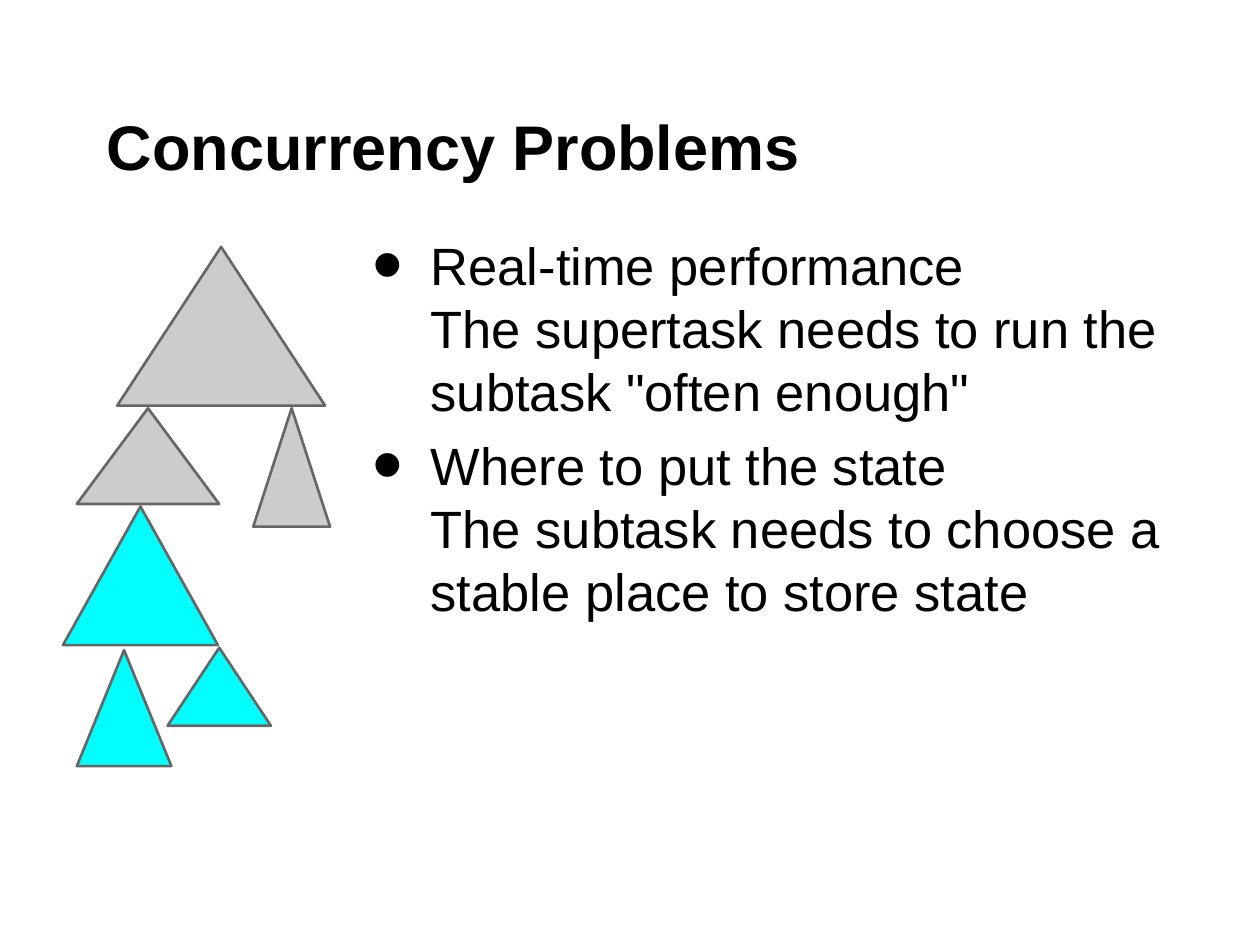
from dataclasses import dataclass

from lxml.etree import SubElement
from pptx import Presentation
from pptx.dml.color import RGBColor
from pptx.enum.shapes import MSO_SHAPE as Preset
from pptx.enum.text import MSO_ANCHOR as Anchor
from pptx.oxml.ns import qn
from pptx.util import Inches, Pt

COLORS = {"text": "000000", "outline": "666666", "supertask": "CCCCCC", "subtask": "00FFFF"}
WIDTH, HEIGHT = 10, 7.5
COLUMNS, ROWS = 100, 75  # grid of tenths of an inch

BULLETS = [
    'Real-time performance\vThe supertask needs to run the subtask "often enough"',
    "Where to put the state\vThe subtask needs to choose a stable place to store state",
]
# role, then column, row, columns wide, rows high
TASKS = [
    ("supertask", 20.1, 32.4, 6.1, 9.4),
    ("supertask", 9.3, 19.6, 16.5, 12.6),
    ("supertask", 6.1, 32.4, 11.3, 7.6),
    ("subtask", 13.3, 51.4, 8.2, 6.2),
    ("subtask", 5, 40.2, 12.3, 11),
    ("subtask", 6.1, 51.6, 7.5, 9.2),
]


def color(name):
    return RGBColor.from_string(COLORS[name])


@dataclass
class SlideBuilder:
    slide: object
    font: str = "Arial"
    inset: float = 0.1

    def place(self, column, row, columns, rows):
        """Turn grid units into left, top, width and height."""
        across, down = WIDTH / COLUMNS, HEIGHT / ROWS
        return [Inches(n) for n in (column * across, row * down, columns * across, rows * down)]

    def text(self, area, lines, size, bold=False, anchor=Anchor.TOP, indent=(0, 0), bullet=False):
        frame = self.slide.shapes.add_textbox(*self.place(*area)).text_frame
        margins = {f"margin_{side}": Inches(self.inset) for side in ("left", "top", "right", "bottom")}
        for name, value in {"word_wrap": True, "vertical_anchor": anchor, **margins}.items():
            setattr(frame, name, value)
        for index, line in enumerate(lines):
            paragraph = frame.add_paragraph() if index else frame.paragraphs[0]
            paragraph.text = line
            paragraph.space_before = Pt(6 if index else 0)
            properties = paragraph._p.get_or_add_pPr()
            for name, value in zip(("marL", "indent"), indent):
                properties.set(name, str(Inches(value)))
            if bullet:
                self.bullet(properties)
            for run in paragraph.runs:
                for name, value in {"name": self.font, "size": Pt(size), "bold": bold}.items():
                    setattr(run.font, name, value)
                run.font.color.rgb = color("text")
            for line_break in paragraph._p.findall(qn("a:br")):
                SubElement(line_break, qn("a:rPr"), sz=str(size * 100))

    def bullet(self, properties):
        tint = SubElement(properties, qn("a:buClr"))
        SubElement(tint, qn("a:srgbClr"), val=COLORS["text"])
        SubElement(properties, qn("a:buSzPct"), val="167000")
        SubElement(properties, qn("a:buFont"), typeface=self.font)
        SubElement(properties, qn("a:buChar"), char="•")

    def triangle(self, role, *area):
        shape = self.slide.shapes.add_shape(Preset.ISOSCELES_TRIANGLE, *self.place(*area))
        shape.shadow.inherit = False
        shape.fill.solid()
        shape.fill.fore_color.rgb = color(role)
        shape.line.color.rgb = color("outline")
        shape.line.width = Pt(1.5)


def main():
    presentation = Presentation()
    presentation.slide_width, presentation.slide_height = Inches(WIDTH), Inches(HEIGHT)
    builder = SlideBuilder(presentation.slides.add_slide(presentation.slide_layouts[6]))
    builder.text((5, 3, 90, 12.5), ["Concurrency Problems"], 36, bold=True,
                 anchor=Anchor.BOTTOM, indent=(0, 0.25))
    builder.text((28.2, 17.5, 66.8, 54.3), BULLETS, 30, indent=(0.5, -0.46), bullet=True)
    for task in TASKS:
        builder.triangle(*task)
    presentation.save("out.pptx")


if __name__ == "__main__":
    main()
